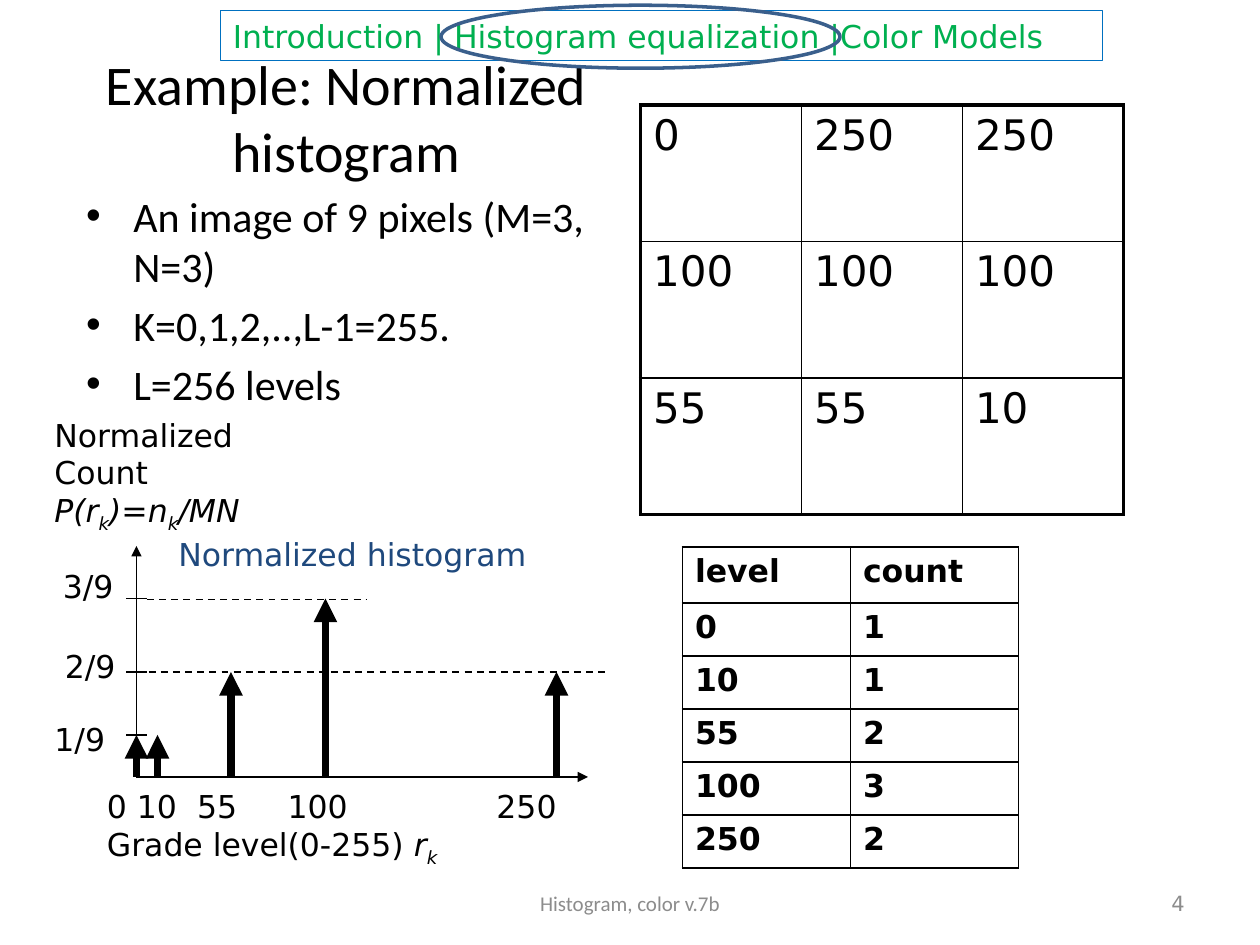
"""Build the slide on the normalized histogram of a nine-pixel image."""
from dataclasses import dataclass

from lxml.etree import SubElement
from pptx import Presentation
from pptx.dml.color import RGBColor
from pptx.enum.dml import MSO_LINE
from pptx.enum.shapes import MSO_CONNECTOR, MSO_SHAPE
from pptx.enum.text import MSO_ANCHOR, MSO_AUTO_SIZE, PP_ALIGN
from pptx.oxml.ns import qn
from pptx.util import Inches, Pt


@dataclass(frozen=True)
class Theme:
    heading_font: str = "Calibri"
    text_font: str = "DejaVu Sans"
    ink: str = "000000"
    paper: str = "FFFFFF"
    green: str = "00B050"
    blue: str = "0070C0"
    ring: str = "3A5F8C"
    navy: str = "1F497D"
    grey: str = "8C8C8C"
    title: float = 32
    body: float = 24
    label: float = 18
    footer: float = 12
    hair: float = 1
    frame: float = 2.25
    bar: float = 4.5


T = Theme()
COLUMNS, ROWS = 120, 90
WIDTH, HEIGHT = Inches(10), Inches(7.5)

SECTIONS = "Introduction | Histogram equalization |Color Models"
TITLE = "Example: Normalized histogram"
POINTS = ["An image of 9 pixels (M=3, N=3)", "K=0,1,2,..,L-1=255.", "L=256 levels"]
PIXELS = [["0", "250", "250"], ["100", "100", "100"], ["55", "55", "10"]]
COUNTS = [["level", "count"], ["0", "1"], ["10", "1"], ["55", "2"], ["100", "3"], ["250", "2"]]
FORMULA = [("P(r", "i"), ("k", "is"), (")=n", "i"), ("k", "is"), ("/MN", "i")]
Y_CAPTION = [[("Normalized", "")], [("Count", "")], FORMULA]
X_CAPTION = [[("0 10\t55\t100\t250", "")],
             [("Grade level(0-255) ", ""), ("r", "i"), ("k", "is")]]
X_TABS = [8.6, 17.2, 37.1]
LEVEL_X = {"0": 13, "10": 15, "55": 22, "100": 31, "250": 53}
COUNT_Y = {"1": 70, "2": 64, "3": 57}
TICK_LABELS = [("1/9", 4, 68), ("2/9", 5, 61), ("3/9", 4.8, 53.4)]
GUIDES = [(13, 58, 64), (14, 35, 57.1)]
ORIGIN = (13, 74)


def x_at(col):
    return round(WIDTH * col / COLUMNS)


def y_at(row):
    return round(HEIGHT * row / ROWS)


def box(left, top, width, height):
    return x_at(left), y_at(top), x_at(width), y_at(height)


def style(p, size, color=T.ink, font=T.text_font, bold=None):
    p.font.size, p.font.name, p.font.bold = Pt(size), font, bold
    p.font.color.rgb = RGBColor.from_string(color)


def write(tf, paragraphs, size, color=T.ink, font=T.text_font, align=None):
    for i, runs in enumerate(paragraphs):
        p = tf.paragraphs[0] if i == 0 else tf.add_paragraph()
        p.alignment = align
        for text, marks in runs:
            r = p.add_run()
            r.text = text
            if "i" in marks:
                r.font.italic = True
            if "s" in marks:
                r.font._element.set("baseline", "-25000")
        style(p, size, color, font)


def add_label(s, area, paragraphs, size=T.label, wrap=False, anchor=MSO_ANCHOR.TOP, **look):
    tf = s.shapes.add_textbox(*box(*area)).text_frame
    tf.word_wrap, tf.vertical_anchor = wrap, anchor
    tf.auto_size = MSO_AUTO_SIZE.SHAPE_TO_FIT_TEXT
    write(tf, paragraphs, size, **look)
    return tf


def add_outline(s, kind, area, color, width):
    sp = s.shapes.add_shape(kind, *box(*area))
    sp.shadow.inherit = False
    sp.fill.background()
    sp.line.color.rgb = RGBColor.from_string(color)
    sp.line.width = Pt(width)
    return sp


def add_line(s, start, end, width=T.hair, arrow=False, dash=False):
    line = s.shapes.add_connector(
        MSO_CONNECTOR.STRAIGHT, x_at(start[0]), y_at(start[1]), x_at(end[0]), y_at(end[1]))
    line.line.color.rgb = RGBColor.from_string(T.ink)
    line.line.width = Pt(width)
    if dash:
        line.line.dash_style = MSO_LINE.DASH
    if arrow:
        SubElement(line.line._get_or_add_ln(), qn("a:tailEnd"), type="triangle")
    SubElement(line._element.spPr, qn("a:effectLst"))


def add_borders(cell, widths):
    tcPr = cell._tc.get_or_add_tcPr()
    for i, (side, width) in enumerate(zip("LRTB", widths)):
        ln = tcPr.makeelement(qn("a:ln" + side), {"w": str(Pt(width))})
        fill = SubElement(ln, qn("a:solidFill"))
        SubElement(fill, qn("a:srgbClr"), val=T.ink)
        tcPr.insert(i, ln)


def add_grid(s, area, rows, size, frame, fill=None, bold=None, before=0, heights=None):
    last_row, last_col = len(rows) - 1, len(rows[0]) - 1
    table = s.shapes.add_table(len(rows), len(rows[0]), *box(*area)).table
    table.first_row = table.horz_banding = False
    for i, height in enumerate(heights or []):
        table.rows[i].height = y_at(height)
    for i, row in enumerate(rows):
        for j, text in enumerate(row):
            cell = table.cell(i, j)
            cell.text = text
            if fill:
                cell.fill.solid()
                cell.fill.fore_color.rgb = RGBColor.from_string(fill)
            else:
                cell.fill.background()
            p = cell.text_frame.paragraphs[0]
            p.space_before = Pt(before)
            style(p, size, bold=bold)
            edges = (j == 0, j == last_col, i == 0, i == last_row)
            add_borders(cell, [frame if edge else T.hair for edge in edges])


def add_histogram(s):
    add_line(s, ORIGIN, (56, ORIGIN[1]), arrow=True)
    add_line(s, ORIGIN, (ORIGIN[0], 52), arrow=True)
    for y in COUNT_Y.values():
        add_line(s, (14, y), (12, y))
    for left, right, y in GUIDES:
        add_line(s, (left, y), (right, y), dash=True)
    for level, count in COUNTS[1:]:
        x = LEVEL_X[level]
        add_line(s, (x, ORIGIN[1]), (x, COUNT_Y[count]), T.bar, arrow=True)
    for text, left, top in TICK_LABELS:
        add_label(s, (left, top, 7.6, 4.8), [[(text, "")]])
    add_label(s, (4, 39, 21, 12), Y_CAPTION)
    add_label(s, (15.8, 50.4, 35.6, 4.8), [[("Normalized histogram", "")]], color=T.navy)
    tf = add_label(s, (9, 74.4, 58, 8.4), X_CAPTION, wrap=True)
    pPr = tf.paragraphs[0]._p.get_or_add_pPr()
    tabs = pPr.makeelement(qn("a:tabLst"), {})
    for col in X_TABS:
        SubElement(tabs, qn("a:tab"), pos=str(x_at(col)), algn="l")
    pPr.insert(0, tabs)


def main():
    prs = Presentation()
    prs.slide_width, prs.slide_height = WIDTH, HEIGHT
    s = prs.slides.add_slide(prs.slide_layouts[1])
    title, body = s.placeholders
    title.left, title.top, title.width, title.height = box(6, 3.6, 54, 15)
    write(title.text_frame, [[(TITLE, "")]], T.title, font=T.heading_font, align=PP_ALIGN.CENTER)
    body.left, body.top, body.width, body.height = box(7, 17.5, 55, 67)
    write(body.text_frame, [[(point, "")] for point in POINTS], T.body, font=T.heading_font)

    header = add_outline(s, MSO_SHAPE.RECTANGLE, (21, 1, 84, 4.8), T.blue, 0.75)
    write(header.text_frame, [[(SECTIONS, "")]], T.label, T.green, align=PP_ALIGN.LEFT)
    add_grid(s, (61, 10, 46, 39), PIXELS, T.body, T.frame, before=0.2 * T.body)
    add_histogram(s)
    add_grid(s, (65, 52.1, 32, 30.6), COUNTS, T.label, T.hair, T.paper, True,
             heights=[5.35] + [5.05] * 5)
    add_outline(s, MSO_SHAPE.OVAL, (42, 0.5, 38, 6), T.ring, 2)
    footer = dict(size=T.footer, wrap=True, anchor=MSO_ANCHOR.MIDDLE, color=T.grey)
    add_label(s, (41, 84.2, 38, 3.6), [[("Histogram, color v.7b", "")]],
              font=T.heading_font, align=PP_ALIGN.CENTER, **footer)
    add_label(s, (86, 84.2, 28, 3.6), [[("4", "")]], align=PP_ALIGN.RIGHT, **footer)
    prs.save("out.pptx")


if __name__ == "__main__":
    main()
